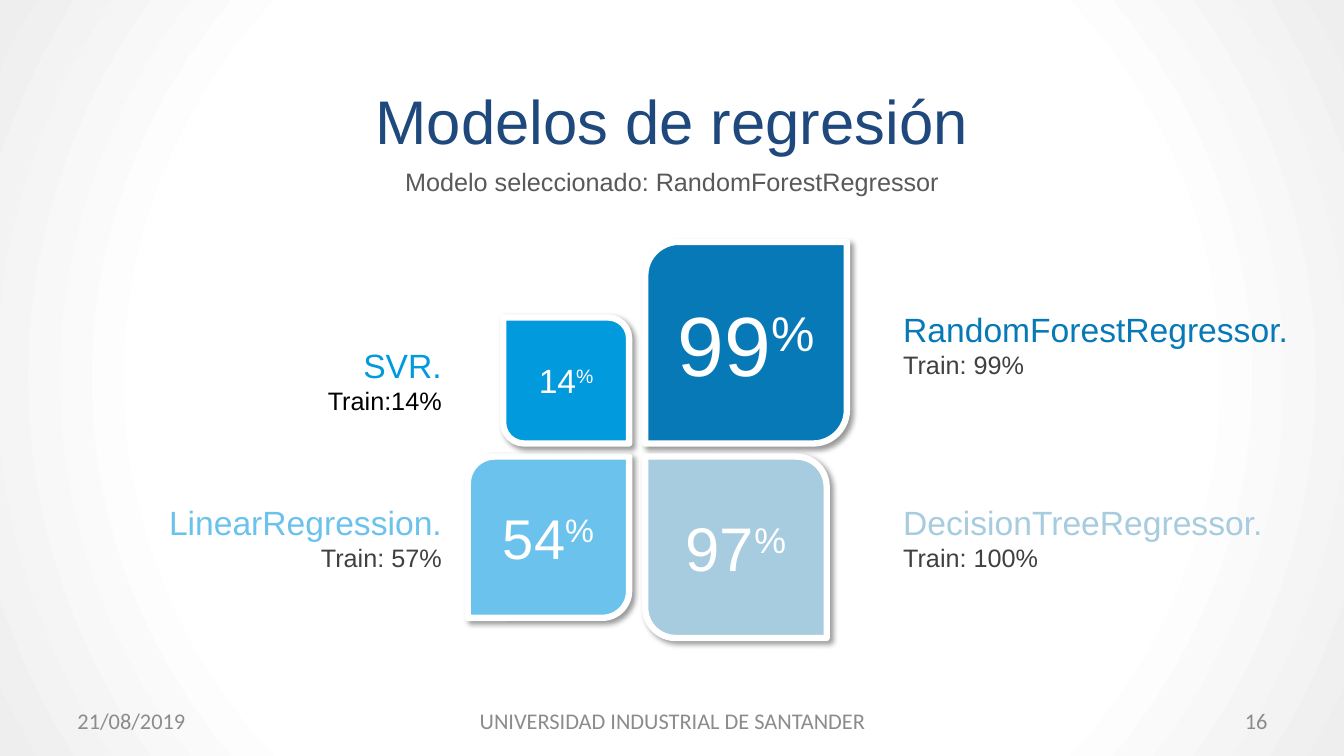
"""Build the slide that compares four regression models by score."""
import pptx
import pptx.dml.color
import pptx.enum.shapes
import pptx.enum.text
import pptx.oxml
import pptx.oxml.ns
import pptx.util

Inches = pptx.util.Inches
Align = pptx.enum.text.PP_ALIGN
Anchor = pptx.enum.text.MSO_ANCHOR
AutoSize = pptx.enum.text.MSO_AUTO_SIZE
qn = pptx.oxml.ns.qn
NAMESPACE = pptx.oxml.ns.nsdecls("a")


def rgb(value):
    return pptx.dml.color.RGBColor.from_string(value)


def write(holder, lines, font="Arial", align=Align.LEFT, anchor=Anchor.TOP, grow=False):
    """Each line is a list of (text, size, colour, baseline) runs."""
    frame = holder.text_frame
    frame.word_wrap = True
    frame.vertical_anchor = anchor
    frame.auto_size = AutoSize.SHAPE_TO_FIT_TEXT if grow else AutoSize.NONE
    for number, runs in enumerate(lines):
        paragraph = frame.add_paragraph() if number else frame.paragraphs[0]
        paragraph.alignment = align
        for text, size, colour, baseline in runs:
            run = paragraph.add_run()
            run.text = text
            run.font.name = font
            run.font.size = pptx.util.Pt(size)
            run.font.color.rgb = rgb(colour)
            if baseline:
                run.font._element.set("baseline", str(baseline * 1000))


deck = pptx.Presentation()
deck.slide_width = Inches(13.33)
deck.slide_height = Inches(7.5)
slide = deck.slides.add_slide(deck.slide_layouts[6])

backdrop = slide.background.fill
backdrop.gradient()
for stop, (position, colour) in zip(backdrop.gradient_stops, [(0.67, "FFFFFF"), (1, "EEEEEE")]):
    stop.position = position
    stop.color.rgb = rgb(colour)
linear = next(slide.element.iter(qn("a:lin")))
linear.getparent().replace(linear, pptx.oxml.parse_xml(
    f'<a:path {NAMESPACE} path="circle">'
    '<a:fillToRect l="50000" t="50000" r="50000" b="50000"/></a:path>'))

LEFT_EDGE, RIGHT_EDGE = 6.24, 6.4
UPPER_EDGE, LOWER_EDGE = 4.4, 4.53
models = [
    ("RandomForestRegressor.", "Train: 99%", "99", 60, 2, "0779B7", "404040", True, True, 3.02),
    ("LinearRegression.", "Train: 57%", "54", 40, 1.6, "6BC2ED", "404040", False, False, 4.93),
    ("SVR.", "Train:14%", "14", 24, 1.25, "019ADD", "000000", False, True, 3.37),
    ("DecisionTreeRegressor.", "Train: 100%", "97", 44, 1.8, "A7CCDF", "404040", True, False, 4.93),
]
for model, train, score, size, side, colour, train_colour, on_right, on_top, label_top in models:
    left = RIGHT_EDGE if on_right else LEFT_EDGE - side
    top = UPPER_EDGE - side if on_top else LOWER_EDGE
    petal = slide.shapes.add_shape(
        pptx.enum.shapes.MSO_SHAPE.ROUND_2_DIAG_RECTANGLE,
        Inches(left), Inches(top), Inches(side), Inches(side))
    petal.fill.solid()
    petal.fill.fore_color.rgb = rgb(colour)
    petal.line.color.rgb = rgb("FFFFFF")
    petal.line.width = pptx.util.Pt(4.5)
    petal.shadow.inherit = False
    properties = petal.element.spPr
    if on_right != on_top:
        properties.find(qn("a:xfrm")).set("flipH", "1")
    properties.find(qn("a:effectLst")).append(pptx.oxml.parse_xml(
        f'<a:outerShdw {NAMESPACE} blurRad="50800" dist="38100" dir="2700000" algn="tl" '
        'rotWithShape="0"><a:srgbClr val="000000"><a:alpha val="40000"/></a:srgbClr></a:outerShdw>'))
    write(petal, [[(score, size, "FFFFFF", 0), ("%", size, "FFFFFF", 30)]],
          align=Align.CENTER, anchor=Anchor.MIDDLE)

    label_left, label_width = (8.86, 4.14) if on_right else (1.01, 3.47)
    label = slide.shapes.add_textbox(
        Inches(label_left), Inches(label_top), Inches(label_width), Inches(0.81))
    write(label, [[(model, 24, colour, 0)], [(train, 18, train_colour, 0)]],
          align=Align.LEFT if on_right else Align.RIGHT, grow=True)

headings = [
    ("Modelos de regresión", 44, "1F497D", 2.25, 0.77, 8.83, 0.84),
    ("Modelo seleccionado: RandomForestRegressor", 18, "595959", 2.61, 1.6, 8.11, 0.4),
]
for text, size, colour, left, top, width, height in headings:
    heading = slide.shapes.add_textbox(Inches(left), Inches(top), Inches(width), Inches(height))
    write(heading, [[(text, size, colour, 0)]], align=Align.CENTER, grow=True)

footers = [
    ("21/08/2019", 0.67, 3.11, Align.LEFT),
    ("UNIVERSIDAD INDUSTRIAL DE SANTANDER", 4.56, 4.22, Align.CENTER),
    ("16", 9.56, 3.11, Align.RIGHT),
]
for text, left, width, align in footers:
    footer = slide.shapes.add_textbox(Inches(left), Inches(6.95), Inches(width), Inches(0.4))
    write(footer, [[(text, 16, "8C8C8C", 0)]], font="Calibri", align=align, anchor=Anchor.MIDDLE)

deck.save("out.pptx")
